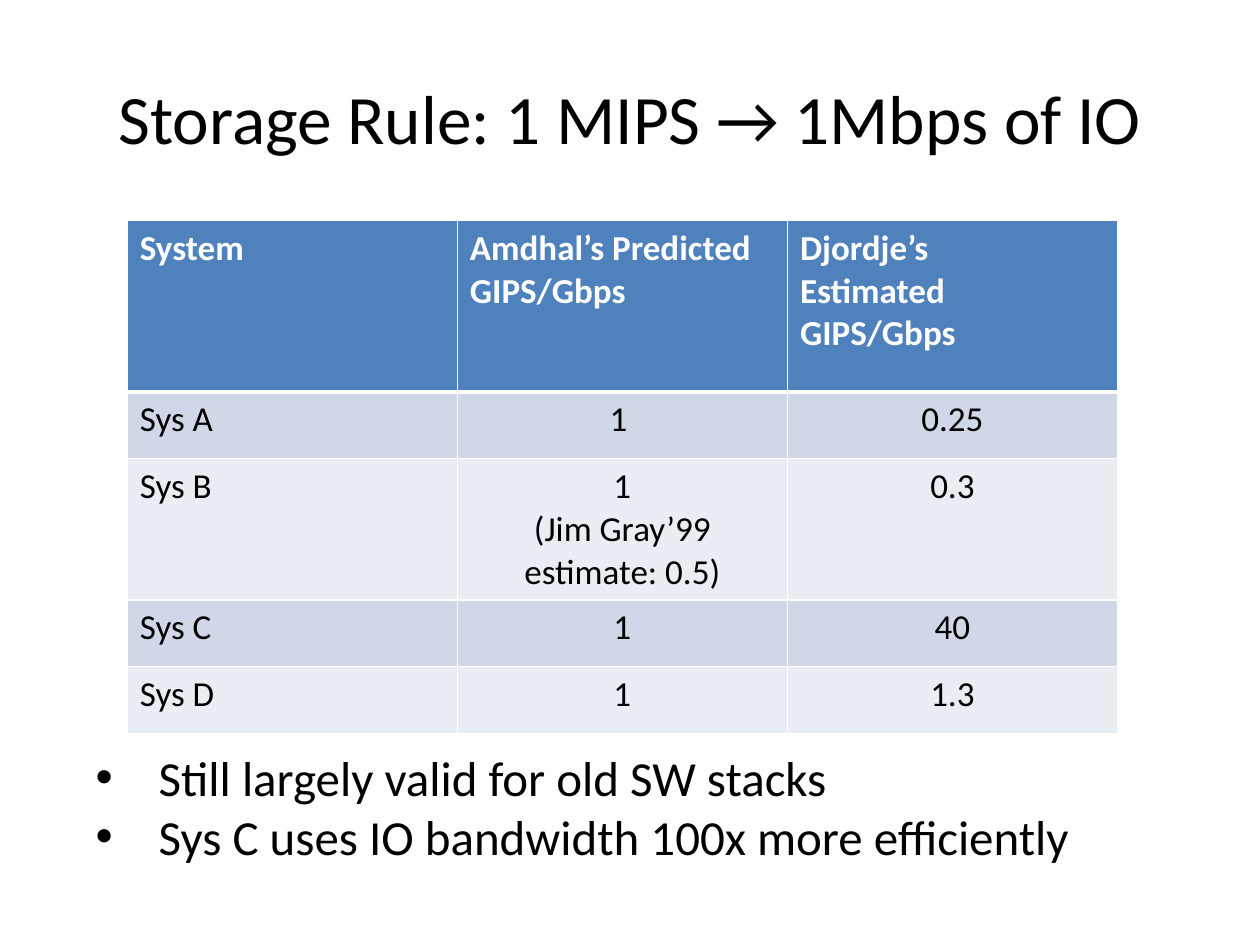
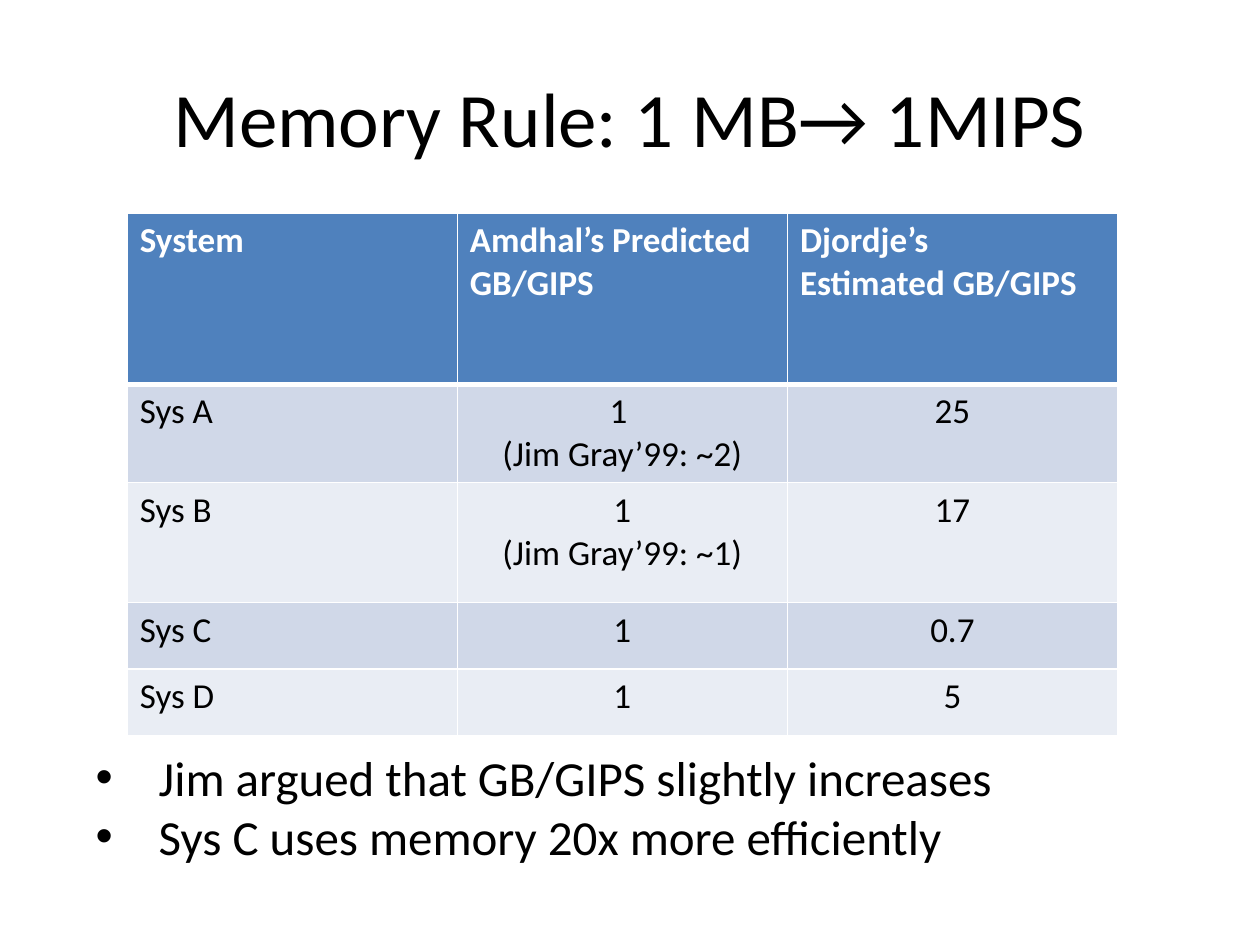
"""Build two slides that compare predicted and estimated system balance."""
import pptx
import pptx.dml.color
import pptx.enum.text
import pptx.oxml
import pptx.oxml.ns
import pptx.util
from pptx.util import Inches

ALIGN = pptx.enum.text.PP_ALIGN


def color(value):
    return pptx.dml.color.RGBColor.from_string(value)


class Deck:
    font = "Calibri"
    ink = "000000"
    paper = "FFFFFF"
    header_fill = "4F81BD"
    band_fills = ("D0D8E8", "E9EDF4")
    column_width = 2.62
    row_heights = (1.36, 0.53, 0.95, 0.53, 0.53)

    def __init__(self):
        self.presentation = pptx.Presentation()
        self.presentation.slide_width = Inches(10)
        self.presentation.slide_height = Inches(7.5)
        self.slide = None

    def add_slide(self):
        layout = self.presentation.slide_layouts[1]
        self.slide = self.presentation.slides.add_slide(layout)

    def place(self, shape, left, top, width, height):
        shape.left, shape.top = Inches(left), Inches(top)
        shape.width, shape.height = Inches(width), Inches(height)

    def format_text(self, text_frame, size, ink=ink, bold=False, alignment=ALIGN.LEFT):
        for paragraph in text_frame.paragraphs:
            paragraph.alignment = alignment
            for run in paragraph.runs:
                run.font.name = self.font
                run.font.size = pptx.util.Pt(size)
                run.font.bold = bold
                run.font.color.rgb = color(ink)

    def title(self, text, size):
        shape = self.slide.shapes.title
        self.place(shape, 0.5, 0.3, 9, 1.25)
        text_frame = shape.text_frame
        text_frame.text = text
        text_frame.auto_size = pptx.enum.text.MSO_AUTO_SIZE.NONE
        text_frame.vertical_anchor = pptx.enum.text.MSO_ANCHOR.MIDDLE
        self.format_text(text_frame, size, alignment=ALIGN.CENTER)

    def bullets(self, lines):
        shape = self.slide.placeholders[1]
        self.place(shape, 0.66, 5.88, 8.03, 1.04)
        text_frame = shape.text_frame
        text_frame.text = "\n".join(lines)
        text_frame.word_wrap = True
        text_frame.auto_size = pptx.enum.text.MSO_AUTO_SIZE.NONE
        self.format_text(text_frame, 28)
        for paragraph in text_frame.paragraphs:
            paragraph.space_before = pptx.util.Pt(0)
            self.indent(paragraph, 0.5, -0.5)

    def indent(self, paragraph, margin, first_line):
        properties = paragraph._p.get_or_add_pPr()
        properties.set("marL", str(Inches(margin)))
        properties.set("indent", str(Inches(first_line)))

    def borders(self, cell, bottom_width):
        properties = cell._tc.get_or_add_tcPr()
        widths = {"lnL": 1, "lnR": 1, "lnT": 1, "lnB": bottom_width}
        for position, (side, width) in enumerate(widths.items()):
            line = pptx.oxml.parse_xml(
                f'<a:{side} {pptx.oxml.ns.nsdecls("a")} w="{pptx.util.Pt(width)}">'
                f'<a:solidFill><a:srgbClr val="{self.paper}"/></a:solidFill></a:{side}>'
            )
            properties.insert(position, line)

    def cell(self, cell, text, row, column):
        is_header = row == 0
        cell.text = text
        cell.fill.solid()
        fill = self.header_fill if is_header else self.band_fills[(row - 1) % 2]
        cell.fill.fore_color.rgb = color(fill)
        self.borders(cell, 3 if is_header else 1)
        self.format_text(
            cell.text_frame,
            20,
            self.paper if is_header else self.ink,
            is_header,
            ALIGN.LEFT if is_header or column == 0 else ALIGN.CENTER,
        )

    def table(self, top, rows):
        column_count = len(rows[0])
        table = self.slide.shapes.add_table(
            len(rows), column_count, Inches(1.01), Inches(top),
            Inches(self.column_width * column_count), Inches(sum(self.row_heights)),
        ).table
        for column in table.columns:
            column.width = Inches(self.column_width)
        for row, (texts, height) in enumerate(zip(rows, self.row_heights)):
            table.rows[row].height = Inches(height)
            for column, text in enumerate(texts):
                self.cell(table.cell(row, column), text, row, column)
        system_b_prediction = table.cell(2, 1).text_frame.paragraphs[0]
        self.indent(system_b_prediction, 0, -0.25)

    def rule_slide(self, title, title_size, table_top, unit, predictions, estimates, lines):
        self.add_slide()
        self.title(title, title_size)
        header = ("System", f"Amdhal’s Predicted {unit}", f"Djordje’s\nEstimated {unit}")
        systems = [f"Sys {letter}" for letter in "ABCD"]
        self.table(table_top, [header, *zip(systems, predictions, estimates)])
        self.bullets(lines)


deck = Deck()
deck.rule_slide(
    "Storage Rule: 1 MIPS → 1Mbps of IO", 39.6, 1.75, "GIPS/Gbps",
    ("1 ", "1\n(Jim Gray’99 estimate: 0.5)", "1", "1"),
    ("0.25", "0.3", "40", "1.3"),
    ("Still largely valid for old SW stacks",
     "Sys C uses IO bandwidth 100x more efficiently"),
)
deck.rule_slide(
    "Memory Rule: 1 MB→ 1MIPS", 44, 1.69, "GB/GIPS",
    ("1 \n(Jim Gray’99: ~2)", "1\n(Jim Gray’99: ~1)", "1", "1"),
    ("25", "17", "0.7", "5"),
    ("Jim argued that GB/GIPS slightly increases",
     "Sys C uses memory 20x more efficiently"),
)
deck.presentation.save("out.pptx")
